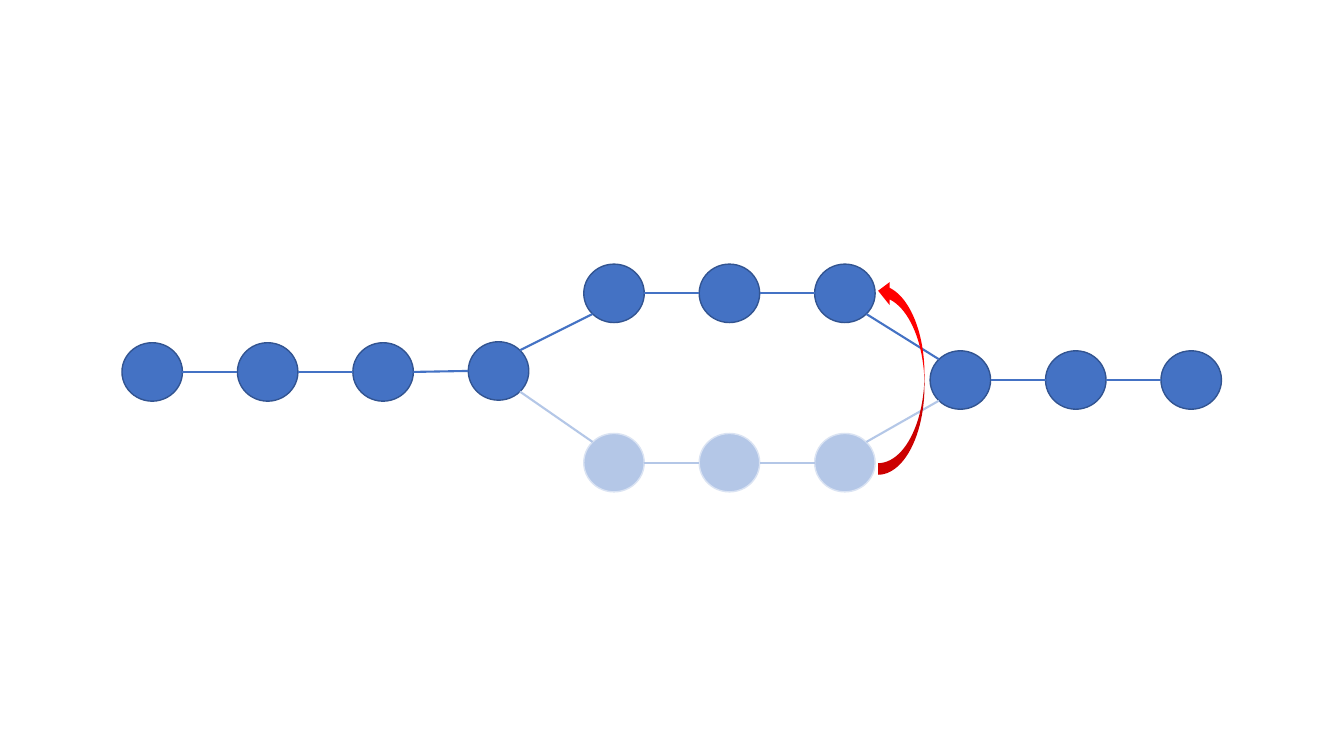
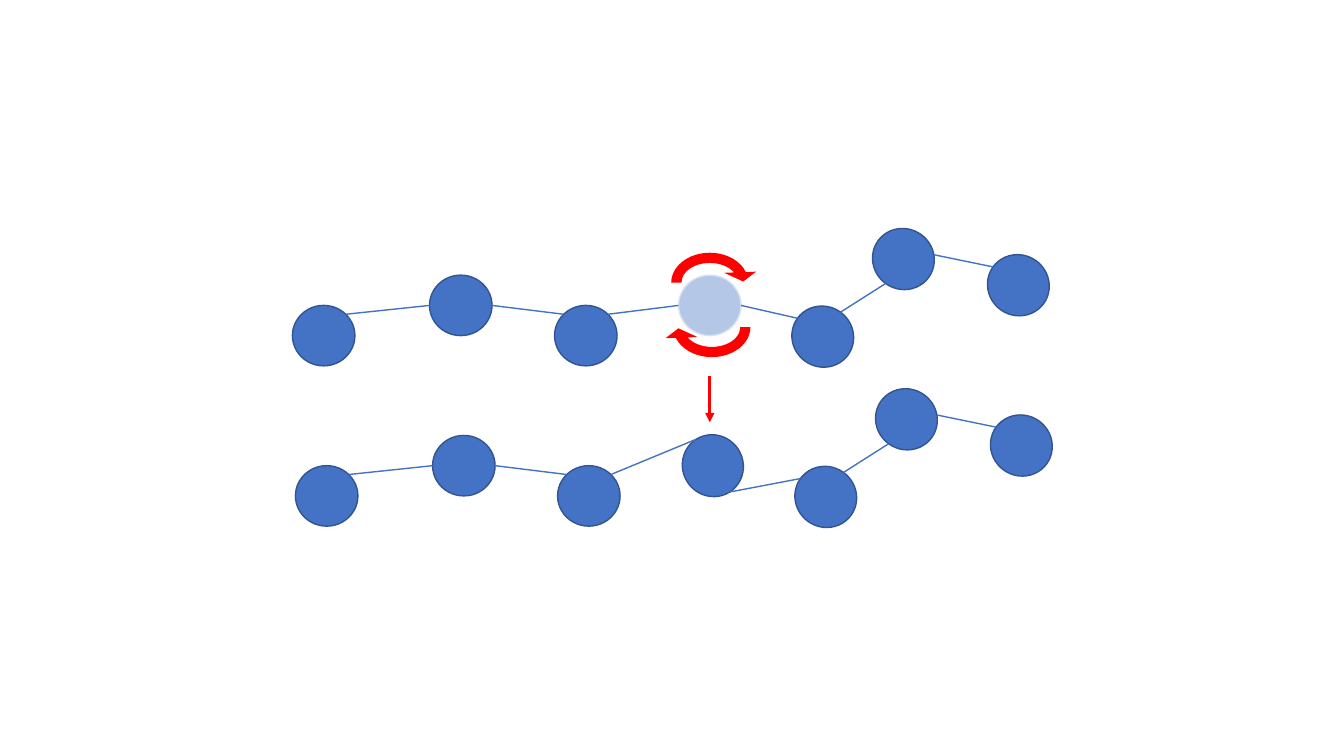
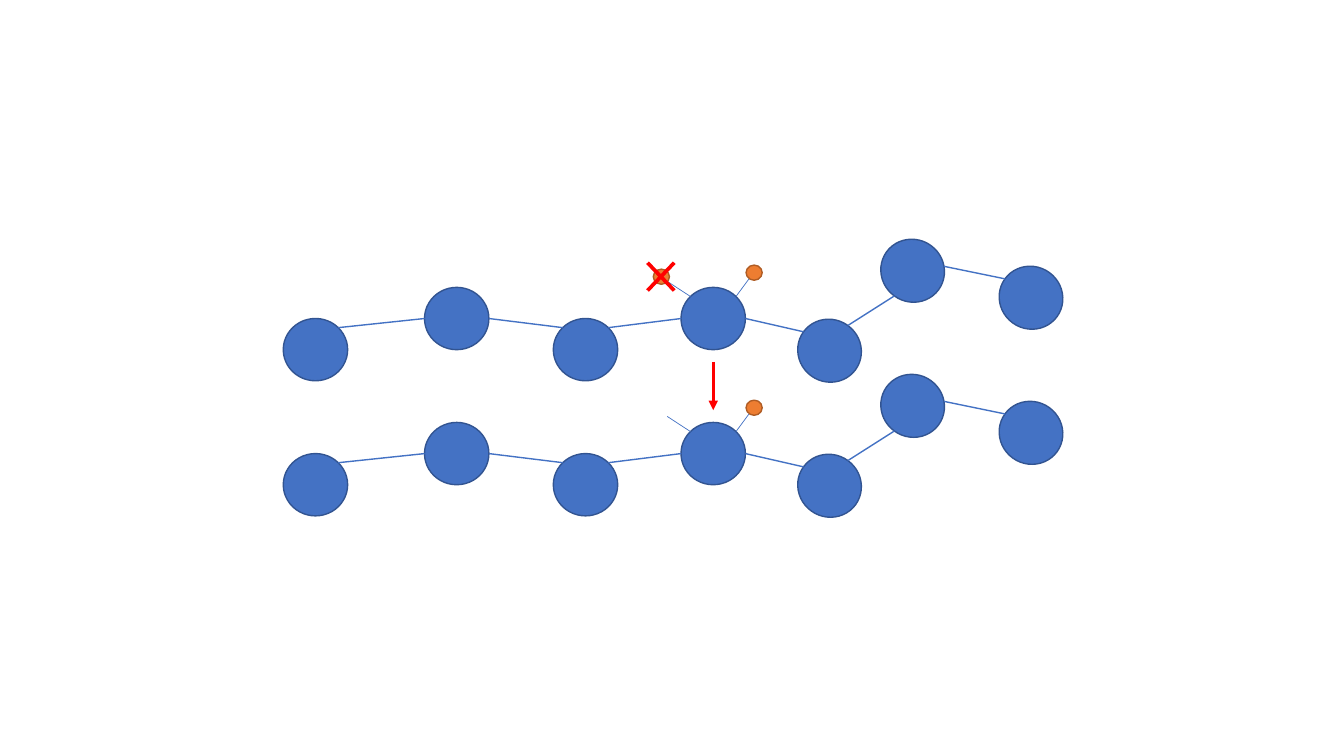
from math import cos, radians, sin

from lxml.etree import SubElement
from pptx import Presentation
from pptx.dml.color import RGBColor
from pptx.enum.shapes import MSO_CONNECTOR, MSO_SHAPE
from pptx.oxml.ns import qn
from pptx.util import Inches, Pt

COLORS = {
    "blue": "4472C4", "blue_edge": "325491",
    "pale": "B4C7E7", "pale_edge": "DAE3F3",
    "orange": "ED7D31", "orange_edge": "AF5C24",
    "red": "FF0000",
}
# Degrees clockwise from the right-hand side of a node
RIGHT, BOTTOM_RIGHT, BOTTOM, BOTTOM_LEFT = 0, 45, 90, 135
LEFT, TOP_LEFT, TOP, TOP_RIGHT = 180, 225, 270, 315


def add_shape(s, kind, x, y, w, h, color, rot=0, adj=()):
    """Add a filled shape; colours with an "_edge" partner get an outline."""
    sp = s.shapes.add_shape(kind, Inches(x), Inches(y), Inches(w), Inches(h))
    sp.shadow.inherit = False
    sp.rotation = rot
    for i, value in enumerate(adj):
        sp.adjustments[i] = value
    sp.fill.solid()
    sp.fill.fore_color.rgb = RGBColor.from_string(COLORS[color])
    if color + "_edge" in COLORS:
        sp.line.color.rgb = RGBColor.from_string(COLORS[color + "_edge"])
        sp.line.width = Pt(1)
    else:
        sp.line.fill.background()
    return sp


def add_line(s, start, end, color="blue", width=1, arrow=False):
    """Join two ends, each (node, angle on its rim, dx, dy from there)."""
    points = []
    for node, angle, dx, dy in (start, end):
        x = node.width / 2 * cos(radians(angle))
        y = node.height / 2 * sin(radians(angle))
        c, d = cos(radians(node.rotation)), sin(radians(node.rotation))
        points += [round(node.left + node.width / 2 + x * c - y * d + Inches(dx)),
                   round(node.top + node.height / 2 + x * d + y * c + Inches(dy))]
    line = s.shapes.add_connector(MSO_CONNECTOR.STRAIGHT, *points)
    line.line.color.rgb = RGBColor.from_string(COLORS[color])
    line.line.width = Pt(width)
    sp_pr = line.element.spPr
    if arrow:
        SubElement(sp_pr.find(qn("a:ln")), qn("a:tailEnd"), type="triangle")
    SubElement(sp_pr, qn("a:effectLst"))


prs = Presentation()
prs.slide_width, prs.slide_height = Inches(13.33), Inches(7.5)
branch, flip, removal = [prs.slides.add_slide(prs.slide_layouts[6]) for _ in range(3)]

# Slide 1: a path that splits in two and joins again
COL_0, COL_STEP = 1.21, 1.145
paths = {}
for name, first_col, tops, color in (
    ("lead", 0, (3.4, 3.4, 3.4, 3.39), "blue"),
    ("lower", 4, (4.3, 4.3, 4.3), "pale"),
    ("tail", 7, (3.48, 3.48, 3.48), "blue"),
    ("upper", 4, (2.62, 2.62, 2.62), "blue"),
):
    nodes = [add_shape(branch, MSO_SHAPE.OVAL, COL_0 + COL_STEP * col, top, 0.6, 0.58, color)
             for col, top in enumerate(tops, first_col)]
    for a, b in zip(nodes, nodes[1:]):
        add_line(branch, (a, RIGHT, 0, 0), (b, LEFT, 0, 0), color, 1.5)
    paths[name] = nodes

for name, color, fork_out, path_in, path_out, join_in in (
    ("lower", "pale", BOTTOM_RIGHT, TOP_LEFT, TOP_RIGHT, BOTTOM_LEFT),
    ("upper", "blue", TOP_RIGHT, BOTTOM_LEFT, BOTTOM_RIGHT, TOP_LEFT),
):
    path = paths[name]
    add_line(branch, (paths["lead"][-1], fork_out, 0, 0), (path[0], path_in, 0, 0), color, 1.5)
    add_line(branch, (path[-1], path_out, 0, 0), (paths["tail"][0], join_in, 0, 0), color, 1.5)
add_shape(branch, MSO_SHAPE.CURVED_UP_ARROW, 7.97, 3.51, 1.94, 0.46, "red", rot=270)

# Slides 2 and 3: the same seven-node chain, before and after a change
CHAIN = ((0, 0, 0), (1.36, -0.3, 0), (2.6, 0, 0), (3.83, -0.3, 0),
         (4.95, 0.01, 36), (5.75, -0.76, 36), (6.89, -0.5, 36))
LINKS = ((TOP_RIGHT, LEFT), (RIGHT, TOP_LEFT), (TOP_RIGHT, LEFT),
         (RIGHT, LEFT), (TOP, BOTTOM), (TOP_RIGHT, LEFT))
MIDDLE = 3
middles = []
for s, x, y, scale, color, turn in (
    (flip, 2.9, 3.03, 1, "pale", 0),
    (flip, 2.93, 4.62, 1, "blue", 57.4),
    (removal, 2.81, 3.16, 1.03, "blue", 0),
    (removal, 2.81, 4.5, 1.03, "blue", 0),
):
    nodes = []
    for i, (dx, dy, rot) in enumerate(CHAIN):
        nodes.append(add_shape(s, MSO_SHAPE.OVAL, x + dx * scale, y + dy * scale,
                               0.62 * scale, 0.6 * scale,
                               color if i == MIDDLE else "blue",
                               turn if i == MIDDLE else rot))
    for a, b, (leave, enter) in zip(nodes, nodes[1:], LINKS):
        add_line(s, (a, leave, 0, 0), (b, enter, 0, 0))
    middles.append(nodes[MIDDLE])

# Slide 2: the middle node turns over
for x, y, rot in ((6.55, 2.4, 0), (6.57, 2.84, 180)):
    add_shape(flip, MSO_SHAPE.CIRCULAR_ARROW, x, y, 0.98, 0.81, "red", rot,
              (0.125, 10.203, 204.577, 108, 0.195))

# Slide 3: the middle node loses one of its two side groups
for node, y in zip(middles[2:], (2.63, 3.97)):
    add_line(removal, (node, TOP_LEFT, 0, 0), (node, TOP_LEFT, -0.23, -0.15), width=0.5)
    add_line(removal, (node, TOP_RIGHT, 0, 0), (node, TOP_RIGHT, 0.14, -0.19), width=0.5)
    add_shape(removal, MSO_SHAPE.OVAL, 7.4, y, 0.16, 0.15, "orange")
add_shape(removal, MSO_SHAPE.OVAL, 6.48, 2.67, 0.16, 0.15, "orange")
add_shape(removal, MSO_SHAPE.MATH_MULTIPLY, 6.3, 2.48, 0.51, 0.53, "red", adj=(0.072,))

# Arrows from the upper chain to the lower one
for s, node, gap, length in ((flip, middles[0], 0.4, 0.46), (removal, middles[2], 0.12, 0.48)):
    add_line(s, (node, BOTTOM, 0, gap), (node, BOTTOM, 0, gap + length), "red", 2.25, arrow=True)

prs.save("out.pptx")
